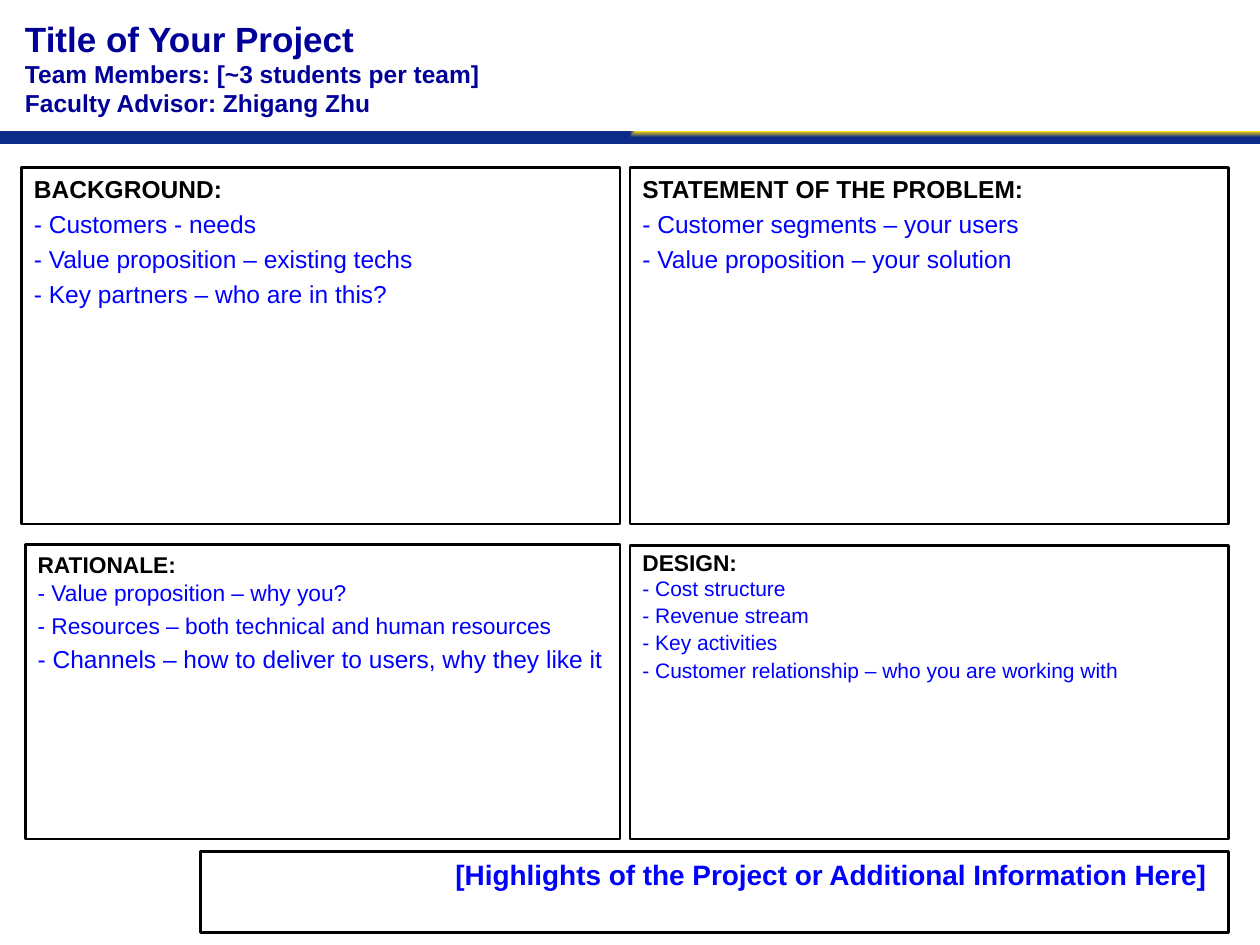
import pptx
import pptx.dml.color
import pptx.enum.shapes
import pptx.enum.text
import pptx.util
from lxml import etree
from pptx.oxml.ns import qn

Inches = pptx.util.Inches
Pt = pptx.util.Pt
RGBColor = pptx.dml.color.RGBColor
RECTANGLE = pptx.enum.shapes.MSO_SHAPE.RECTANGLE
ANCHOR = pptx.enum.text.MSO_ANCHOR
ALIGN = pptx.enum.text.PP_ALIGN

FONT = "Arial"
NAVY = RGBColor(0x00, 0x00, 0x99)
BLUE = RGBColor(0x00, 0x00, 0xFF)
BLACK = RGBColor(0x00, 0x00, 0x00)
BAR_YELLOW = RGBColor(0xFE, 0xD9, 0x10)
BAR_BLUE = RGBColor(0x0D, 0x2B, 0x88)


def write_line(frame, text, size, color, bold=False, before=0, after=0, spacing=1.0):
    paragraph = frame.paragraphs[0] if not frame.text else frame.add_paragraph()
    paragraph.text = text
    paragraph.font.name = FONT
    paragraph.font.size = Pt(size)
    paragraph.font.bold = bold
    paragraph.font.color.rgb = color
    paragraph.alignment = ALIGN.LEFT
    paragraph.space_before = Pt(before)
    paragraph.space_after = Pt(after)
    paragraph.line_spacing = spacing
    return paragraph


def add_frame(slide, left, top, width, height, line_width):
    shape = slide.shapes.add_shape(
        RECTANGLE, Inches(left), Inches(top), Inches(width), Inches(height))
    shape.shadow.inherit = False
    shape.fill.background()
    shape.line.color.rgb = BLACK
    shape.line.width = Pt(line_width)
    shape.text_frame.word_wrap = True
    shape.text_frame.vertical_anchor = ANCHOR.TOP
    return shape.text_frame


def add_bar(slide, left, top, width, height):
    bar = slide.shapes.add_shape(
        RECTANGLE, Inches(left), Inches(top), Inches(width), Inches(height))
    bar.shadow.inherit = False
    bar.line.fill.background()
    bar.fill.gradient()
    for stop, color in zip(bar.fill.gradient_stops, (BAR_YELLOW, BAR_BLUE)):
        stop.color.rgb = color
    gradient = bar.element.spPr.find(qn("a:gradFill"))
    gradient.remove(gradient.find(qn("a:lin")))
    corner = etree.SubElement(gradient, qn("a:path"), {"path": "rect"})
    etree.SubElement(corner, qn("a:fillToRect"), {"l": "100000", "b": "100000"})


def add_title(slide, left, top, width, height):
    box = slide.shapes.add_textbox(
        Inches(left), Inches(top), Inches(width), Inches(height))
    frame = box.text_frame
    frame.word_wrap = True
    frame.vertical_anchor = ANCHOR.MIDDLE
    write_line(frame, "Title of Your Project", 20, NAVY, bold=True)
    write_line(frame, "Team Members: [~3 students per team]", 14, NAVY, bold=True)
    write_line(frame, "Faculty Advisor: Zhigang Zhu", 14, NAVY, bold=True)


def add_panel(slide, box, heading, heading_style, items, item_style):
    frame = add_frame(slide, *box, line_width=1.5)
    write_line(frame, heading, color=BLACK, bold=True, **heading_style)
    return [write_line(frame, f"- {item}", color=BLUE, **item_style) for item in items]


def add_highlights(slide, left, top, width, height):
    frame = add_frame(slide, left, top, width, height, line_width=2)
    frame.margin_right = Inches(0.17)
    paragraph = write_line(
        frame, "[Highlights of the Project or Additional Information Here]",
        16, BLUE, bold=True)
    paragraph.alignment = ALIGN.RIGHT


def main():
    presentation = pptx.Presentation()
    presentation.slide_width = Inches(10)
    presentation.slide_height = Inches(7.5)
    slide = presentation.slides.add_slide(presentation.slide_layouts[6])

    add_bar(slide, 0, 1.04, 10, 0.1)
    add_title(slide, 0.1, 0.04, 9.07, 0.99)

    upper = {"size": 14, "before": 3.2}
    add_panel(slide, (0.17, 1.33, 4.75, 2.83), "BACKGROUND:", upper, [
        "Customers - needs",
        "Value proposition – existing techs",
        "Key partners – who are in this?",
    ], upper)
    add_panel(slide, (5, 1.33, 4.75, 2.83), "STATEMENT OF THE PROBLEM:", upper, [
        "Customer segments – your users",
        "Value proposition – your solution",
    ], upper)

    rationale = add_panel(
        slide, (0.2, 4.32, 4.72, 2.34), "RATIONALE:", {"size": 13}, [
            "Value proposition – why you?",
            "Resources – both technical and human resources",
            "Channels – how to deliver to users, why they like it",
        ], {"size": 13, "before": 2.5, "after": 2, "spacing": 0.9})
    rationale[-1].font.size = Pt(14)
    add_panel(
        slide, (5, 4.33, 4.75, 2.33), "DESIGN:", {"size": 13, "spacing": 0.9}, [
            "Cost structure",
            "Revenue stream",
            "Key activities",
            "Customer relationship – who you are working with",
        ], {"size": 12, "before": 2.1, "after": 2, "spacing": 0.8})

    add_highlights(slide, 1.59, 6.76, 8.16, 0.64)
    presentation.save("out.pptx")


if __name__ == "__main__":
    main()
